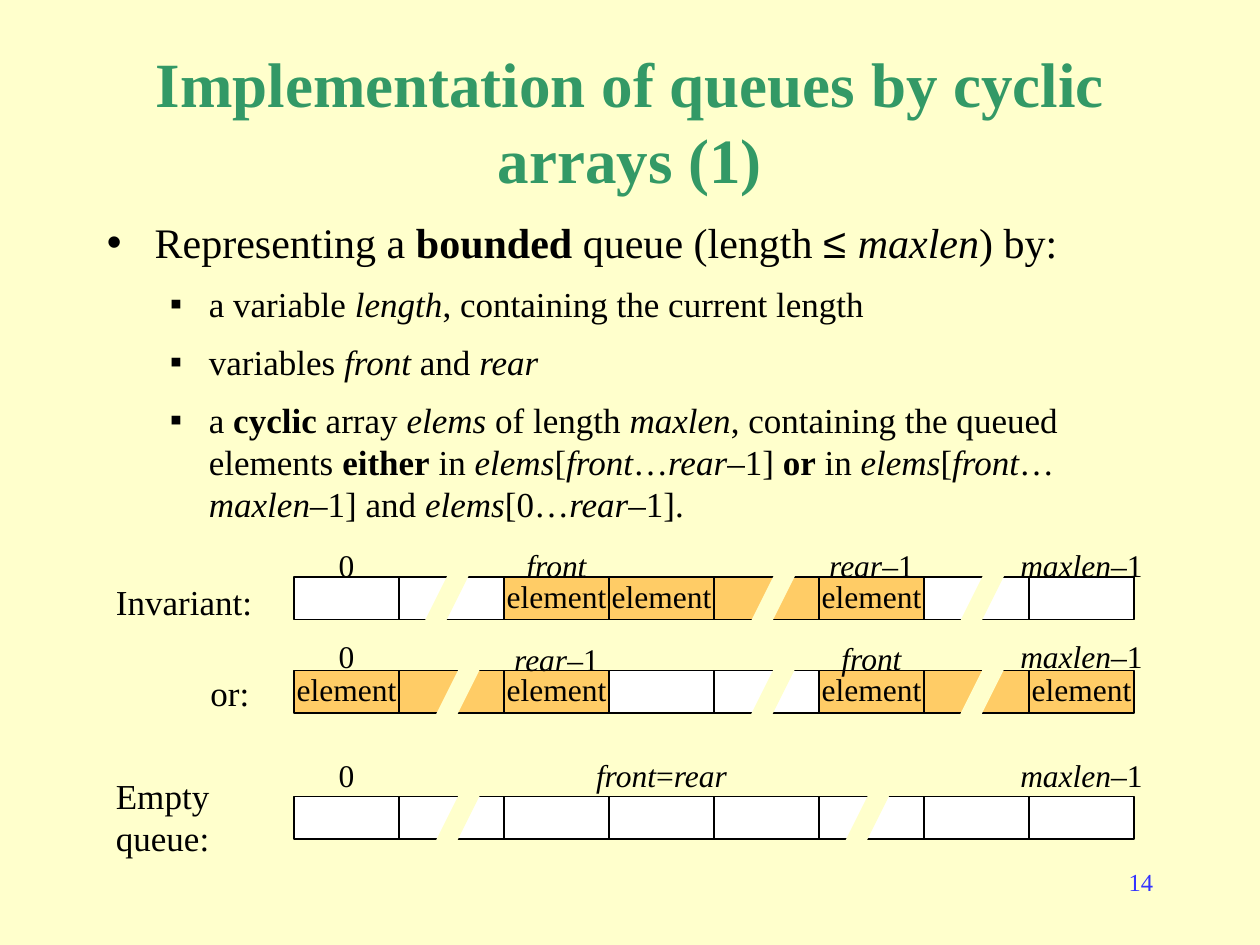
from lxml import etree
from pptx import Presentation
from pptx import util as u
from pptx.dml.color import RGBColor
from pptx.enum import shapes, text
from pptx.oxml import ns

COLORS = {"paper": "FFFFCC", "title": "339966", "ink": "000000",
          "number": "3333FF", "used": "FFCC66", "free": "FFFFFF"}
FONT = "Times New Roman"
MARKS = {"_": "italic", "*": "bold", "~": "arial"}

TITLE = "Implementation of queues by cyclic arrays (1)"
BULLETS = [
    (0, "Representing a *bounded* queue (length ~≤ ~_maxlen_) by:"),
    (1, "a variable _length_, containing the current length"),
    (1, "variables _front_ and _rear_"),
    (1, "a *cyclic* array _elems_ of length _maxlen_, containing the queued elements "
        "*either* in _elems_[_front_…_rear_–1] *or* in "
        "_elems_[_front_…_maxlen_–1] and _elems_[0…_rear_–1]."),
]
LEVELS = [dict(char="•", margin=0.38, hang=0.38, size=24, before=0),
          dict(char="▪", margin=0.81, hang=0.31, size=20, before=9)]

CELL_LEFT, CELL_W, CELL_H, CELLS = 7 / 3, 5 / 6, 0.34, 8
ROWS = [
    dict(name="Invariant:", name_at=(0.92, 4.61, 1.17, 0.33), top=4.58,
         used=(2, 3, 4, 5), named=(2, 3, 5), cuts=(3.33, 5.92, 7.58), labels_last=False,
         labels=[("0", 0, CELL_W, 4.33), ("_front_", 2, CELL_W, 4.33),
                 ("_rear_–1", 5, CELL_W, 4.33), ("_maxlen_–1", 7, 1, 4.33)]),
    dict(name="or:", name_at=(1.67, 5.33, 0.33, 0.33), top=5.32,
         used=(0, 1, 2, 5, 6, 7), named=(0, 2, 5, 7), cuts=(3.42, 5.92, 7.58),
         labels_last=True,
         labels=[("0", 0, CELL_W, 5.06), ("_maxlen_–1", 7, 1, 5.06),
                 ("_front_", 5, CELL_W, 5.07), ("_rear_–1", 2, CELL_W, 5.08)]),
    dict(name="Empty queue:", name_at=(0.92, 6.15, 1.17, 0.67), top=6.32,
         used=(), named=(), cuts=(3.42, 6.67), labels_last=False,
         labels=[("0", 0, CELL_W, 6), ("_maxlen_–1", 7, 1, 6),
                 ("_front_=_rear_", 3, 1.17, 6)]),
]


def rgb(name):
    return RGBColor.from_string(COLORS[name])


def write(p, content, size=18, color="ink", align="LEFT", bold=False):
    p.alignment = getattr(text.PP_ALIGN, align)
    style, part = {"bold": bold, "italic": False, "arial": False}, ""
    for ch in content + "\n":
        if ch not in MARKS and ch != "\n":
            part += ch
            continue
        if part:
            r = p.add_run()
            r.text, part = part, ""
            r.font.size = u.Pt(size)
            r.font.name = "Arial" if style["arial"] else FONT
            r.font.bold, r.font.italic = style["bold"], style["italic"]
            r.font.color.rgb = rgb(color)
        if ch in MARKS:
            style[MARKS[ch]] = not style[MARKS[ch]]


def frame(sp, inset=0):
    tf = sp.text_frame
    tf.word_wrap = True
    tf.vertical_anchor = text.MSO_ANCHOR.TOP
    tf.margin_left = tf.margin_right = u.Inches(inset)
    tf.margin_top = tf.margin_bottom = u.Inches(inset / 2)
    return tf


def add_text(tree, box, content, inset=0, **fmt):
    sp = tree.add_textbox(*map(u.Inches, box))
    write(frame(sp, inset).paragraphs[0], content, **fmt)


def add_bullet(p, level, content):
    look = LEVELS[level]
    pPr = p._p.get_or_add_pPr()
    pPr.set("marL", str(u.Inches(look["margin"])))
    pPr.set("indent", str(-u.Inches(look["hang"])))
    clr = etree.SubElement(pPr, ns.qn("a:buClr"))
    etree.SubElement(clr, ns.qn("a:srgbClr"), val=COLORS["ink"])
    etree.SubElement(pPr, ns.qn("a:buFont"), typeface="Arial")
    etree.SubElement(pPr, ns.qn("a:buChar"), char=look["char"])
    p.level = level
    p.space_before = u.Pt(look["before"])
    write(p, content, size=look["size"])


def add_cell(tree, row, i):
    box = (CELL_LEFT + i * CELL_W, row["top"], CELL_W, CELL_H)
    sp = tree.add_shape(shapes.MSO_SHAPE.RECTANGLE, *map(u.Inches, box))
    sp.shadow.inherit = False
    sp.fill.solid()
    sp.fill.fore_color.rgb = rgb("used" if i in row["used"] else "free")
    sp.line.color.rgb = rgb("ink")
    sp.line.width = u.Pt(0.75)
    if i in row["named"]:
        write(frame(sp).paragraphs[0], "element", align="CENTER")


def add_cut(tree, left, top):
    pts = [(left, top + 0.5), (left + 0.25, top), (left + 0.42, top), (left + 0.17, top + 0.5)]
    pts = [(u.Inches(x), u.Inches(y)) for x, y in pts]
    builder = tree.build_freeform(*pts[0])
    builder.add_line_segments(pts[1:], close=True)
    sp = builder.convert_to_shape()
    sp.shadow.inherit = False
    sp.fill.solid()
    sp.fill.fore_color.rgb = rgb("paper")
    sp.line.fill.background()


def add_labels(tree, row):
    for content, i, width, top in row["labels"]:
        left = CELL_LEFT + (i + 0.5) * CELL_W - width / 2
        add_text(tree, (left, top, width, 0.34), content, align="CENTER")


def add_row(s, row):
    tree = s.shapes.add_group_shape().shapes
    add_text(tree, row["name_at"], row["name"], size=20)
    if not row["labels_last"]:
        add_labels(tree, row)
    for i in range(CELLS):
        add_cell(tree, row, i)
    for left in row["cuts"]:
        add_cut(tree, left, row["top"] - 0.07)
    if row["labels_last"]:
        add_labels(tree, row)


def main():
    """Build the slide on queues held in cyclic arrays."""
    prs = Presentation()
    prs.slide_width, prs.slide_height = u.Inches(10), u.Inches(7.5)
    s = prs.slides.add_slide(prs.slide_layouts[5])
    s.background.fill.solid()
    s.background.fill.fore_color.rgb = rgb("paper")

    sp = s.shapes.title
    sp.left, sp.top, sp.width, sp.height = map(u.Inches, (0.75, 0.58, 8.5, 0.75))
    tf = frame(sp, 0.1)
    tf.auto_size = text.MSO_AUTO_SIZE.NONE
    tf.vertical_anchor = text.MSO_ANCHOR.MIDDLE
    write(tf.paragraphs[0], TITLE, size=36, color="title", align="CENTER", bold=True)

    tf = frame(s.shapes.add_textbox(*map(u.Inches, (0.75, 1.67, 8.5, 5.08))), 0.1)
    for n, (level, content) in enumerate(BULLETS):
        add_bullet(tf.add_paragraph() if n else tf.paragraphs[0], level, content)

    for row in ROWS:
        add_row(s, row)
    add_text(s.shapes, (7.17, 6.83, 2.08, 0.5), "14", inset=0.1,
             size=14, color="number", align="RIGHT")
    prs.save("out.pptx")


if __name__ == "__main__":
    main()
